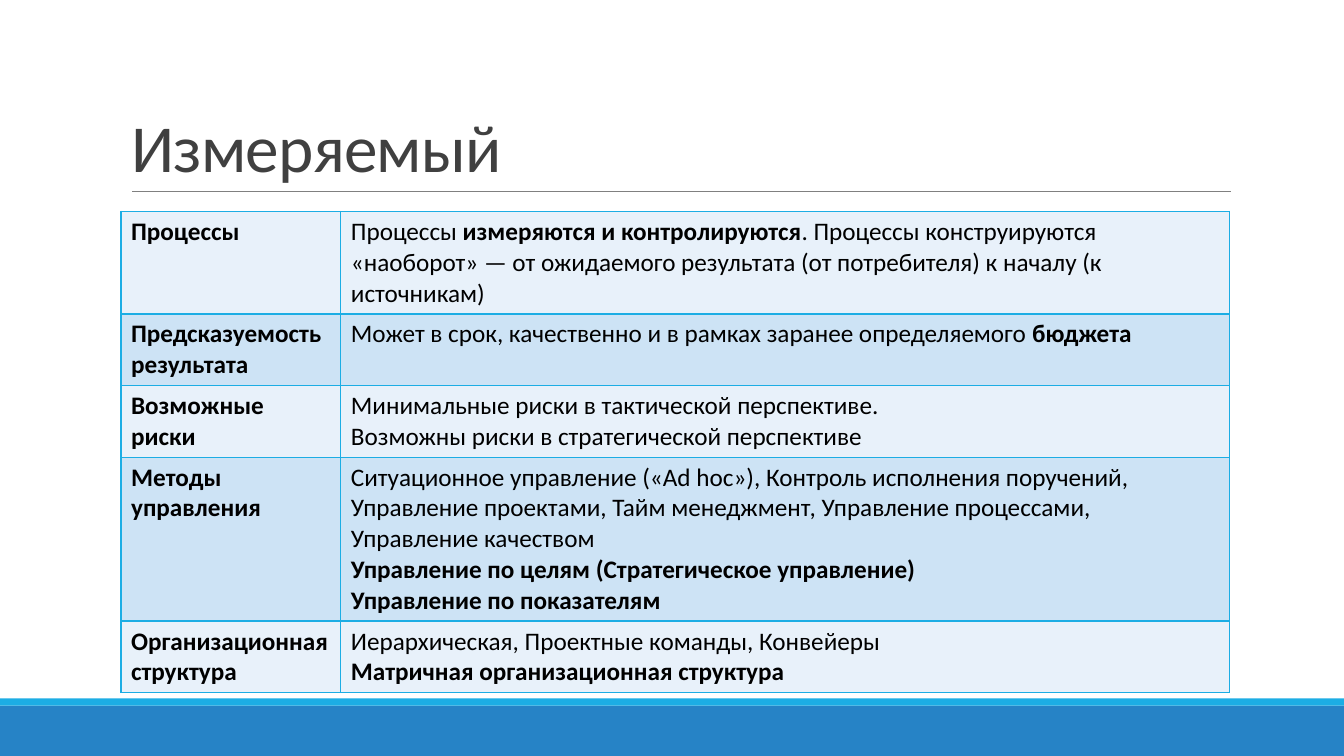
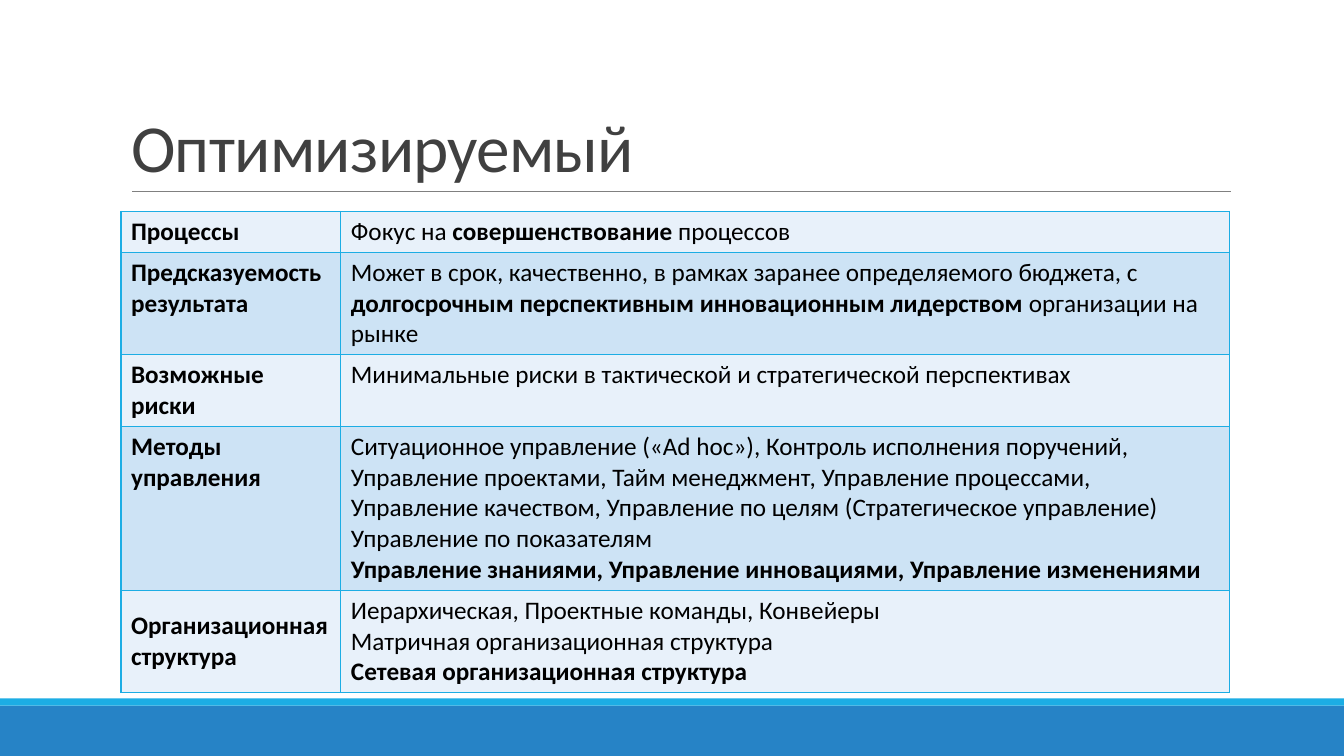
from lxml.etree import SubElement
from pptx import Presentation
from pptx.dml.color import RGBColor
from pptx.enum.shapes import MSO_CONNECTOR as Link, MSO_SHAPE as Shape
from pptx.enum.text import MSO_ANCHOR as Anchor, MSO_AUTO_SIZE as Fit, PP_ALIGN as Align
from pptx.oxml.ns import qn
from pptx.util import Cm, Pt

FONT = "Calibri"
BLUE, CYAN, GRAY = "2683C6", "1CADE4", "808080"
DARK, BLACK = "404040", "000000"
TINTS = ["E8F1FA", "CDE3F5"]
WIDTH, HEIGHT = 33.87, 19.05
LEFT, SPAN = 3.05, 27.94
LABELS = [
    "Процессы",
    "Предсказуемость результата",
    "Возможные риски",
    "Методы управления",
    "Организационная структура",
]

# Asterisks enclose bold text; each line of a cell is a paragraph.
LEVELS = {
    "Измеряемый": [
        ["Процессы *измеряются и контролируются*. Процессы конструируются "
         "«наоборот» — от ожидаемого результата (от потребителя) к началу (к источникам)"],
        ["Может в срок, качественно и в рамках заранее определяемого *бюджета*"],
        ["Минимальные риски в тактической перспективе.",
         "Возможны риски в стратегической перспективе"],
        ["Ситуационное управление («Ad hoc»), Контроль исполнения поручений,",
         "Управление проектами, Тайм менеджмент, Управление процессами, "
         "Управление качеством",
         "*Управление по целям (Стратегическое управление)*",
         "*Управление по показателям*"],
        ["Иерархическая, Проектные команды, Конвейеры",
         "*Матричная организационная структура*"],
    ],
    "Оптимизируемый": [
        ["Фокус на *совершенствование *процессов"],
        ["Может в срок, качественно, в рамках заранее определяемого бюджета, "
         "с *долгосрочным перспективным инновационным лидерством* организации на рынке"],
        ["Минимальные риски в тактической и стратегической перспективах"],
        ["Ситуационное управление («Ad hoc»), Контроль исполнения поручений,",
         "Управление проектами, Тайм менеджмент, Управление процессами, "
         "Управление качеством, Управление по целям (Стратегическое управление)",
         "Управление по показателям",
         "*Управление знаниями, Управление инновациями, Управление изменениями*"],
        ["Иерархическая, Проектные команды, Конвейеры",
         "Матричная организационная структура",
         "*Сетевая организационная структура*"],
    ],
}


def paint(fill, color):
    fill.solid()
    fill.fore_color.rgb = RGBColor.from_string(color)


def style(run, size, color, bold=False):
    font = run.font
    font.name, font.size, font.bold = FONT, Pt(size), bold
    paint(font.fill, color)


def add_band(slide, top, height, color):
    band = slide.shapes.add_shape(Shape.RECTANGLE, 0, Cm(top), Cm(WIDTH), Cm(height))
    band.shadow.inherit = False
    paint(band.fill, color)
    band.line.fill.background()


def add_rule(slide, left, right, top):
    rule = slide.shapes.add_connector(Link.STRAIGHT, Cm(left), Cm(top), Cm(right), Cm(top))
    paint(rule.line.fill, GRAY)
    rule.line.width = Pt(0.5)
    SubElement(rule.element.spPr, qn("a:effectLst"))


def set_title(slide, text):
    title = slide.shapes.title
    title.left, title.top = Cm(LEFT), Cm(0.79)
    title.width, title.height = Cm(SPAN), Cm(4.04)
    frame = title.text_frame
    frame.text = text
    frame.auto_size, frame.word_wrap = Fit.NONE, True
    frame.vertical_anchor = Anchor.BOTTOM
    para = frame.paragraphs[0]
    para.alignment, para.line_spacing = Align.LEFT, 0.85
    run = para.runs[0]
    style(run, 48, DARK)
    run.font._element.set("spc", "-50")


def add_borders(cell):
    props = cell._tc.get_or_add_tcPr()
    for side in ("lnL", "lnR", "lnT", "lnB"):
        line = SubElement(props, qn(f"a:{side}"), w=str(Pt(1)))
        fill = SubElement(line, qn("a:solidFill"))
        SubElement(fill, qn("a:srgbClr"), val=CYAN)


def fill_cell(cell, lines, tint):
    add_borders(cell)
    paint(cell.fill, tint)
    frame = cell.text_frame
    for index, line in enumerate(lines):
        para = frame.add_paragraph() if index else frame.paragraphs[0]
        for order, part in enumerate(line.split("*")):
            if part:
                run = para.add_run()
                run.text = part
                style(run, 18, BLACK, bold=order % 2 == 1)


def add_grid(slide, texts):
    first, row = 5.54, 1.03
    count = len(LABELS)
    table = slide.shapes.add_table(
        count, 2, Cm(LEFT), Cm(5.33), Cm(SPAN), Cm(row * count)).table
    table.first_row = table.horz_banding = False
    table.columns[0].width = Cm(first)
    table.columns[1].width = Cm(SPAN - first)
    for index, (label, lines) in enumerate(zip(LABELS, texts)):
        tint = TINTS[index % 2]
        fill_cell(table.cell(index, 0), [f"*{label}*"], tint)
        fill_cell(table.cell(index, 1), lines, tint)
    table.cell(count - 1, 0).vertical_anchor = Anchor.MIDDLE


def add_level(deck, title, texts):
    slide = deck.slides.add_slide(deck.slide_layouts[5])
    add_band(slide, 17.78, 1.27, BLUE)
    add_band(slide, 17.6, 0.18, CYAN)
    add_rule(slide, 3.33, 31.01, 4.83)
    set_title(slide, title)
    add_grid(slide, texts)


def main():
    deck = Presentation()
    deck.slide_width, deck.slide_height = Cm(WIDTH), Cm(HEIGHT)
    for title, texts in LEVELS.items():
        add_level(deck, title, texts)
    deck.save("out.pptx")


if __name__ == "__main__":
    main()
